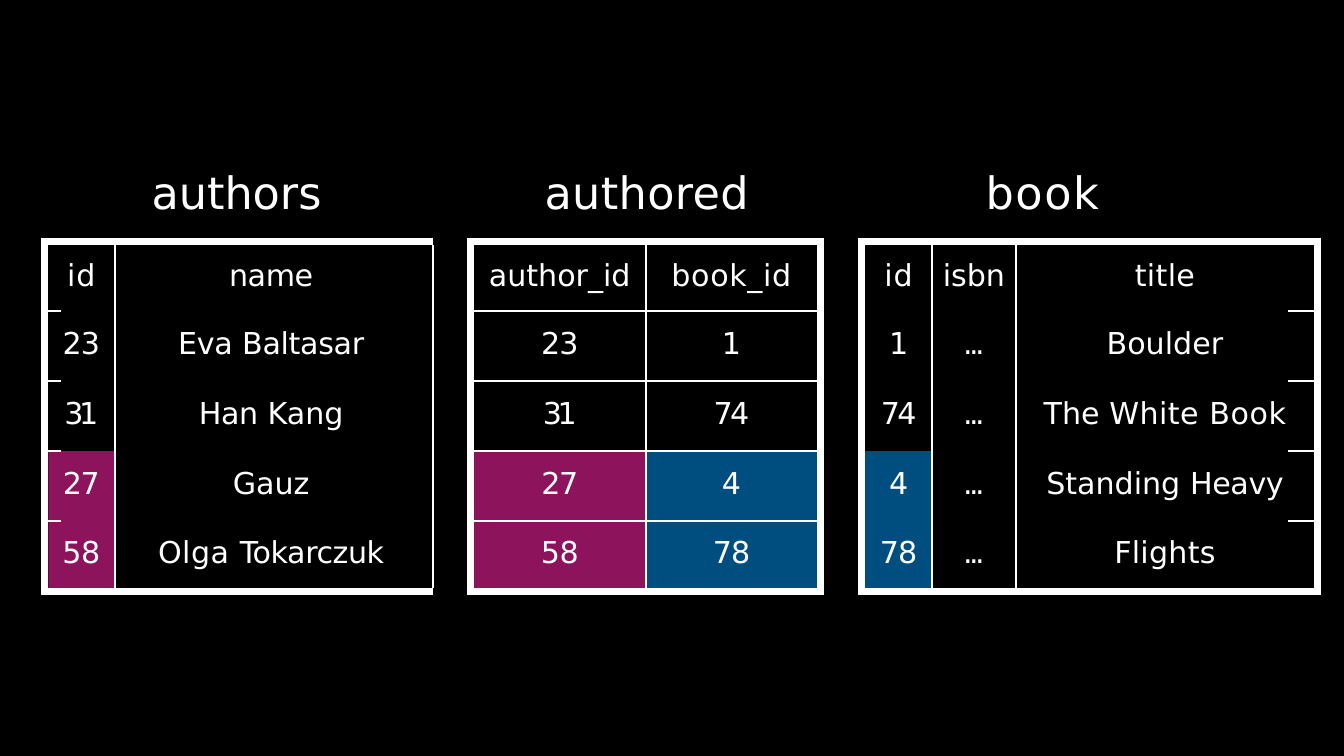
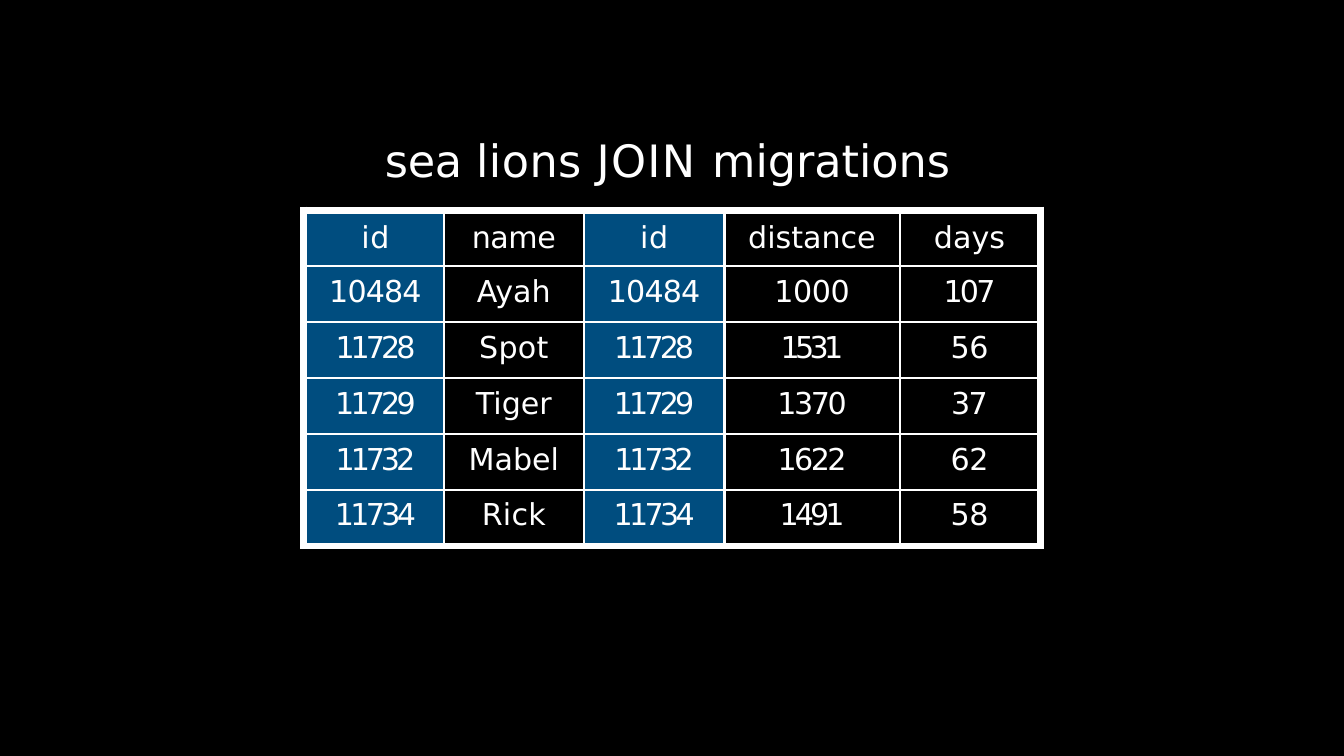
from lxml.etree import SubElement
from pptx import Presentation
from pptx.dml.color import RGBColor
from pptx.enum.shapes import MSO_CONNECTOR, MSO_SHAPE
from pptx.enum.text import MSO_ANCHOR, MSO_AUTO_SIZE, PP_ALIGN
from pptx.oxml.ns import qn
from pptx.util import Pt

# Shared style
BLACK = RGBColor(0x00, 0x00, 0x00)
WHITE = RGBColor(0xFF, 0xFF, 0xFF)
PINK = RGBColor(0x8C, 0x13, 0x5C)
BLUE = RGBColor(0x00, 0x4D, 0x7F)
FONT = "DejaVu Sans"
HEAD, BODY = 52.5, 35.5
FRAME, RULE, TICK = 8.25, 3, 2.47
BAR, GAP = "", None  # white frame column, black column between tables

# Letter spacing of single words, in points
TRACK = {
    "id": 1, "name": -0.5, "book_id": 0.8, "title": 0.4,
    "23": -1.1, "31": -5.4, "27": -1.9, "58": -0.6, "74": -3.2, "78": -1.2,
    "...": -4.3, "Eva": -0.3, "Baltasar": -0.4, "Han": -0.4,
    "Olga": 0.6, "Tokarczuk": -0.5, "White": 0.5, "Book": 0.8,
    "Heavy": -0.5, "Flights": 0.3, "10484": -1, "11728": -4.7,
    "11729": -4.5, "11732": -4.8, "11734": -4.3, "1000": -0.4,
    "1531": -5.5, "1370": -2.8, "1622": -3, "1491": -4.7, "107": -3.2,
    "56": -0.3, "37": -2, "62": -0.5, "Spot": 0.3, "Rick": 0.3,
    "book": 2, "authored": 0.5, "sea": -0.3, "lions": 0.6, "JOIN": 1.6,
}

# Table content
AUTHORS = [("id", "name"), ("23", "Eva Baltasar"), ("31", "Han Kang"),
           ("27", "Gauz"), ("58", "Olga Tokarczuk")]
LINKS = [("author_id", "book_id"), ("23", "1"), ("31", "74"),
         ("27", "4"), ("58", "78")]
BOOKS = [("id", "isbn", "title"), ("1", "...", "Boulder"),
         ("74", "...", "The White Book"), ("4", "...", "Standing Heavy"),
         ("78", "...", "Flights")]
TREKS = [("id", "name", "id", "distance", "days"),
         ("10484", "Ayah", "10484", "1000", "107"),
         ("11728", "Spot", "11728", "1531", "56"),
         ("11729", "Tiger", "11729", "1370", "37"),
         ("11732", "Mabel", "11732", "1622", "62"),
         ("11734", "Rick", "11734", "1491", "58")]


def write(par, text, size, align):
    """Write the text with one run per word."""
    par.alignment = align
    words = text.split(" ")
    for num, word in enumerate(words):
        run = par.add_run()
        run.text = word if num == len(words) - 1 else word + " "
        font = run.font
        font.name, font.size, font.bold = FONT, Pt(size), False
        font.color.rgb = WHITE
        if word in TRACK:
            font._element.set("spc", str(round(TRACK[word] * 100)))


def place(box, text, left, top, width):
    """Move and fill a heading box."""
    box.left, box.top, box.width, box.height = map(Pt, (left, top, width, 65.5))
    frame = box.text_frame
    frame.auto_size = MSO_AUTO_SIZE.NONE
    frame.word_wrap = True
    frame.vertical_anchor = MSO_ANCHOR.TOP
    frame.margin_left = frame.margin_right = frame.margin_bottom = 0
    frame.margin_top = Pt(1.5)
    write(frame.paragraphs[0], text, HEAD, PP_ALIGN.LEFT)


def label(slide, text, left, top, width):
    place(slide.shapes.add_textbox(0, 0, 0, 0), text, left, top, width)


def post(slide, x, top, low):
    """Draw one upright side of a frame."""
    rod = slide.shapes.add_connector(
        MSO_CONNECTOR.STRAIGHT, Pt(x), Pt(top), Pt(x), Pt(low))
    rod.line.color.rgb = WHITE
    rod.line.width = Pt(FRAME)
    SubElement(rod._element.spPr, qn("a:effectLst"))


def lines(slide, parts, weight):
    """Draw separate strokes as one outline."""
    pen = None
    for x, y, right, low in parts:
        if pen is None:
            pen = slide.shapes.build_freeform(Pt(x), Pt(y))
        else:
            pen.move_to(Pt(x), Pt(y))
        pen.add_line_segments([(Pt(right), Pt(low))], close=False)
    shape = pen.convert_to_shape()
    shape.shadow.inherit = False
    shape.fill.background()
    shape.line.color.rgb = WHITE
    shape.line.width = Pt(weight)


def lattice(slide, left, right, top, low, marks):
    """Draw row lines and the frame around them."""
    lines(slide, [(left, y, right, y) for y in marks], TICK)
    half = FRAME / 2
    sides = [(x, top, x, low) for x in (right - half, left + half)]
    sides += [(left, y, right, y) for y in (top + half, low - half)]
    lines(slide, sides, FRAME)


def block(slide, left, top, width, height, color):
    shape = slide.shapes.add_shape(
        MSO_SHAPE.RECTANGLE, Pt(left), Pt(top), Pt(width), Pt(height))
    shape.shadow.inherit = False
    shape.fill.solid()
    shape.fill.fore_color.rgb = color
    shape.line.fill.background()


def edge(cell, sides):
    """Rule the given sides of a cell and clear the others."""
    props = cell._tc.get_or_add_tcPr()
    for side in "LRTB":
        rim = SubElement(props, qn("a:ln" + side), w=str(Pt(RULE)))
        if side in sides:
            fill = SubElement(rim, qn("a:solidFill"))
            SubElement(fill, qn("a:srgbClr"), val=str(WHITE))
        else:
            SubElement(rim, qn("a:noFill"))


def rims(texts, c, first, last, across):
    """Name the ruled sides of a cell in a text row."""
    sides = ""
    if c and texts[c - 1] and texts[c] != BAR:
        sides += "L"
    if texts[c] and c + 1 < len(texts) and texts[c + 1] != BAR:
        sides += "R"
    if c in across:
        sides += ("" if first else "T") + ("" if last else "B")
    return sides


def grid(slide, data, left, top, cols, rows, pads, tint, since, across,
         spans, sides):
    """Draw a table with white bars above and below the text rows."""
    table = slide.shapes.add_table(
        len(rows), len(cols), Pt(left), Pt(top),
        Pt(sum(cols)), Pt(sum(rows))).table
    table.first_row = table.horz_banding = False
    for col, width in zip(table.columns, cols):
        col.width = Pt(width)
    for row, height in zip(table.rows, rows):
        row.height = Pt(height)
    band = [GAP if text is GAP else BAR for text in data[0]]
    end = len(data)
    for r, texts in enumerate([band, *data, band]):
        inner = 0 < r <= end
        for c, text in enumerate(texts):
            cell = table.cell(r, c)
            edge(cell, rims(texts, c, r == 1, r == end, across) if inner else "")
            color = WHITE if text == BAR else BLACK
            if text and r >= since:
                color = tint.get(c, BLACK)
            cell.fill.solid()
            cell.fill.fore_color.rgb = color
            cell.margin_top = cell.margin_bottom = 0
            cell.margin_left, cell.margin_right = map(Pt, sides.get(c, (0, 0)))
            cell.vertical_anchor = MSO_ANCHOR.TOP
            par = cell.text_frame.paragraphs[0]
            if text:
                cell.margin_top = Pt(pads[0 if r == 1 else 2 if r == end else 1])
                write(par, text, BODY, PP_ALIGN.CENTER)
            else:
                SubElement(par._p, qn("a:endParaRPr"), sz="100")
    for r, start, stop in spans:
        table.cell(r, start).merge(table.cell(r, stop))


def many(deck):
    """Two tables and the table that links them."""
    slide = deck.slides.add_slide(deck.slide_layouts[5])
    top, end, mid, bar, high = 280.1, 78.5, 82.4, 8.2, 193
    low = top + 2 * (bar + end) + 3 * mid
    marks = [top + bar + end + mid * num for num in range(4)]

    # Frames and row lines behind the table
    lattice(slide, 1011, 1556.5, top, low, marks)
    block(slide, 57, marks[2], 78.4, mid + end, PINK)
    lattice(slide, 48.8, 510.5, top, low, marks)

    # Headings
    place(slide.shapes.title, "book", 1161, high, 165)
    label(slide, "authors", 178.6, high, 215)
    label(slide, "authored", 641.6, high, 260)

    # Table in three parts
    data = [(*one, GAP, BAR, *two, BAR, GAP, BAR, *three)
            for one, two, three in zip(AUTHORS, LINKS, BOOKS)]
    cols = [64.1, 375.1, 39.7, bar, 202.3, 202.3, bar, 40, bar,
            78.7, 98.8, 320.4]
    grid(slide, data, 71.3, top, cols, [bar, end, mid, mid, mid, end, bar],
         (15.8, 18.2, 17.4), {0: PINK, 4: PINK, 5: BLUE, 9: BLUE}, 4, (4, 5),
         [(0, 0, 1), (0, 8, 11)], {0: (0, 15), 1: (0, 7), 11: (31, 0)})
    for x in (554.4, 967):
        post(slide, x, top, low)


def join(deck):
    """The joined table."""
    slide = deck.slides.add_slide(deck.slide_layouts[5])
    place(slide.shapes.title, "sea lions JOIN migrations", 453.5, 155, 690)
    top, end, mid, bar = 243.5, 61.8, 66, 8.1
    rows = [bar, end, mid, mid, mid, mid, end, bar]
    grid(slide, [(BAR, *trek) for trek in TREKS], 353.7, top,
         [bar, 161.1, 165, 165.6, 206.5, 169.5], rows, (7.9, 10, 9.2),
         {1: BLUE, 3: BLUE}, 1, range(1, 6), [(0, 0, 1), (7, 0, 1)],
         {5: (0, 5)})
    for x in (357.8, 1225.5):
        post(slide, x, top, top + sum(rows))


def main():
    deck = Presentation()
    deck.slide_width, deck.slide_height = Pt(1583.3), Pt(890.6)
    ground = deck.slide_master.background.fill
    ground.solid()
    ground.fore_color.rgb = BLACK
    many(deck)
    join(deck)
    deck.save("out.pptx")


if __name__ == "__main__":
    main()
